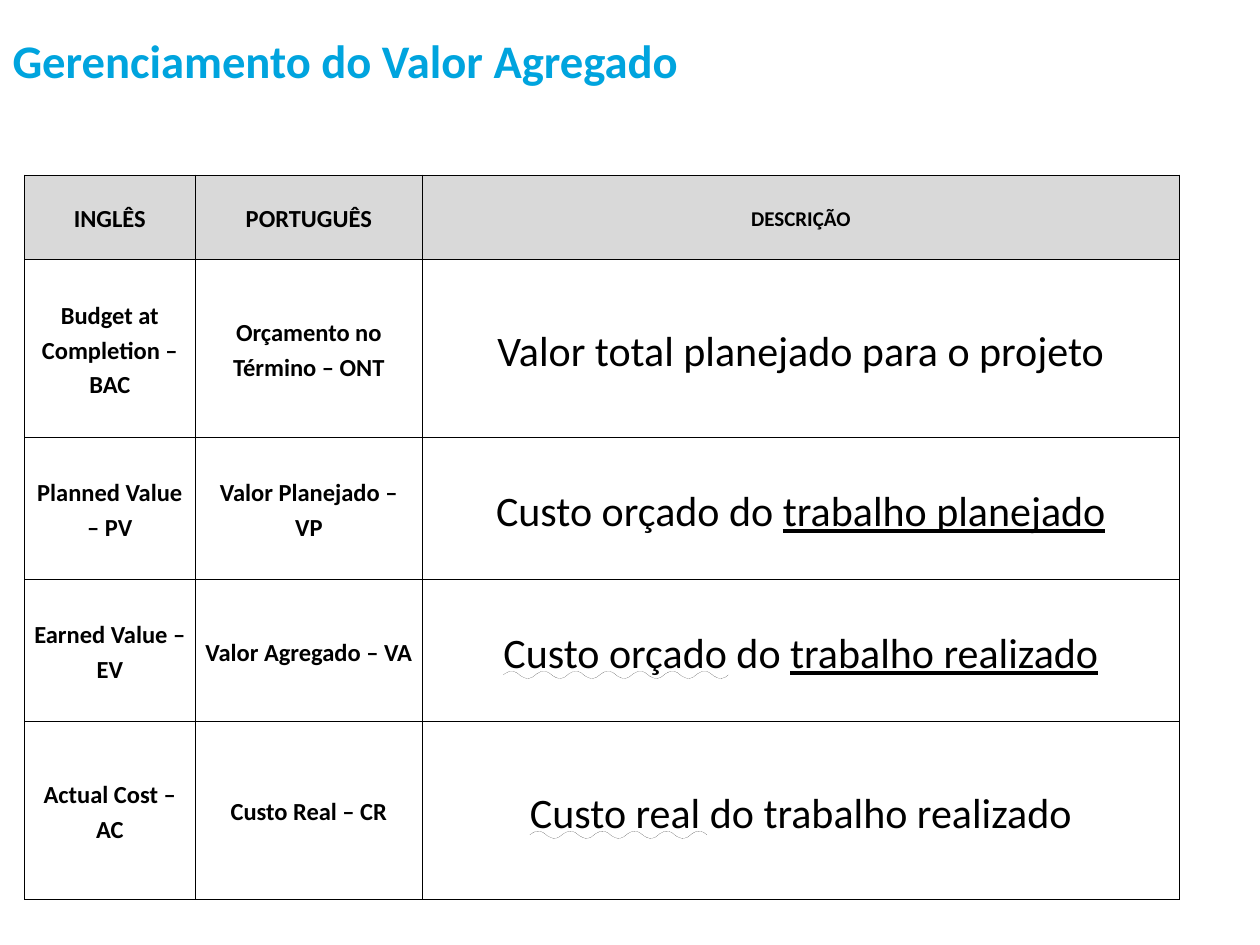
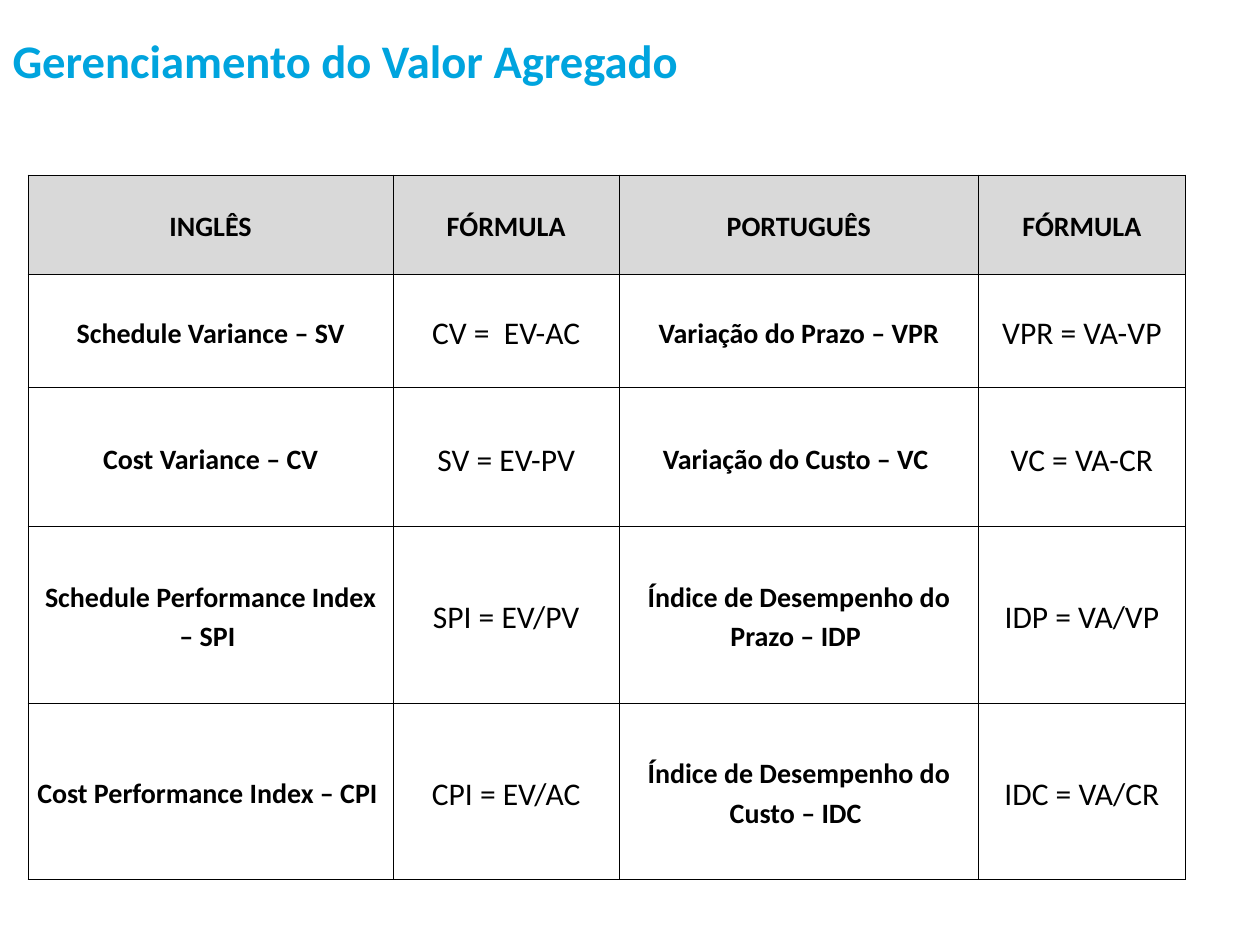
from lxml import etree
from pptx import Presentation
from pptx.dml.color import RGBColor
from pptx.enum.text import MSO_ANCHOR, MSO_UNDERLINE, PP_ALIGN
from pptx.oxml.ns import qn
from pptx.util import Pt

CENTER, MIDDLE = PP_ALIGN.CENTER, MSO_ANCHOR.MIDDLE
LINE, WAVY = MSO_UNDERLINE.SINGLE_LINE, MSO_UNDERLINE.WAVY_LINE
FONT, BLUE, BLACK, GREY = "Calibri", "00A4DE", "000000", "D9D9D9"
TITLE = "Gerenciamento do Valor Agregado"
TABLE_TOP = 150

TERMS = {
    "left": 21, "title_width": 761,
    "cols": [146.2, 195, 648.5],
    "rows": [72.5, 152.5, 121.7, 121.7, 152.5],
    "header_sizes": [21, 21, 18],
    "label_size": 21, "plain_size": 36, "plain_cols": {2},
    "cells": [
        ["INGLÊS", "PORTUGUÊS", "DESCRIÇÃO"],
        ["Budget at Completion – BAC", "Orçamento no Término – ONT",
         "Valor total planejado para o projeto"],
        ["Planned Value – PV", "Valor Planejado – VP",
         [("Custo orçado do ", None), ("trabalho planejado", LINE)]],
        ["Earned Value – EV", "Valor Agregado – VA",
         [("Custo orçado", WAVY), (" do ", None), ("trabalho realizado", LINE)]],
        ["Actual Cost – AC", "Custo Real – CR",
         [("Custo real", WAVY), (" do trabalho realizado", None)]],
    ],
}
FORMULAS = {
    "left": 24, "title_width": 739,
    "cols": [313, 193.7, 308, 177.3],
    "rows": [85, 97.4, 119.3, 151, 151.5],
    "header_sizes": [24] * 4,
    "label_size": 24, "plain_size": 27, "plain_cols": {1, 3},
    "cells": [
        ["INGLÊS", "FÓRMULA", "PORTUGUÊS", "FÓRMULA"],
        ["Schedule Variance – SV", "CV =  EV-AC",
         "Variação do Prazo – VPR", "VPR = VA-VP"],
        ["Cost Variance – CV", "SV = EV-PV",
         "Variação do Custo – VC ", "VC = VA-CR"],
        ["Schedule Performance Index – SPI ", "SPI = EV/PV",
         "Índice de Desempenho do Prazo – IDP ", "IDP = VA/VP"],
        ["Cost Performance Index – CPI ", "CPI = EV/AC",
         "Índice de Desempenho do Custo – IDC ", "IDC = VA/CR"],
    ],
}


def rgb(color):
    return RGBColor.from_string(color)


def set_font(p, size, color, bold):
    p.font.name, p.font.size, p.font.bold = FONT, Pt(size), bold
    p.font.color.rgb = rgb(color)


def set_borders(cell):
    tc_pr = cell._tc.get_or_add_tcPr()
    for i, side in enumerate("LRTB"):
        ln = etree.Element(qn(f"a:ln{side}"), w=str(Pt(1)))
        fill = etree.SubElement(ln, qn("a:solidFill"))
        etree.SubElement(fill, qn("a:srgbClr"), val=BLACK)
        tc_pr.insert(i, ln)


def fill_cell(cell, content, size, bold, header):
    cell.vertical_anchor = MIDDLE
    cell.margin_left = cell.margin_right = Pt(7.9)
    cell.margin_top = cell.margin_bottom = 0
    if header:
        cell.fill.solid()
        cell.fill.fore_color.rgb = rgb(GREY)
    else:
        cell.fill.background()
    set_borders(cell)
    p = cell.text_frame.paragraphs[0]
    p.alignment, p.line_spacing = CENTER, 1.15
    set_font(p, size, BLACK, bold)
    for text, underline in [(content, None)] if isinstance(content, str) else content:
        r = p.add_run()
        r.text = text
        if underline:
            r.font.underline = underline


def add_grid(s, data):
    cols, rows = data["cols"], data["rows"]
    table = s.shapes.add_table(len(rows), len(cols), Pt(data["left"]), Pt(TABLE_TOP),
                               Pt(sum(cols)), Pt(sum(rows))).table
    table.horz_banding = False
    for column, width in zip(table.columns, cols):
        column.width = Pt(width)
    for row, height in zip(table.rows, rows):
        row.height = Pt(height)
    for i, line in enumerate(data["cells"]):
        for j, content in enumerate(line):
            header = i == 0
            plain = not header and j in data["plain_cols"]
            size = data["plain_size"] if plain else data["label_size"]
            if header:
                size = data["header_sizes"][j]
            fill_cell(table.cell(i, j), content, size, not plain, header)


def add_title(s, width):
    tf = s.shapes.add_textbox(0, Pt(22.3), Pt(width), Pt(52)).text_frame
    tf.word_wrap = True
    tf.margin_left = tf.margin_right = Pt(10.8)
    tf.margin_top = tf.margin_bottom = Pt(5.4)
    p = tf.paragraphs[0]
    p.text = TITLE
    set_font(p, 40, BLUE, True)


def main():
    prs = Presentation()
    prs.slide_width, prs.slide_height = Pt(1080), Pt(810)
    for data in (TERMS, FORMULAS):
        s = prs.slides.add_slide(prs.slide_layouts[6])
        add_grid(s, data)
        add_title(s, data["title_width"])
    prs.save("out.pptx")


if __name__ == "__main__":
    main()
